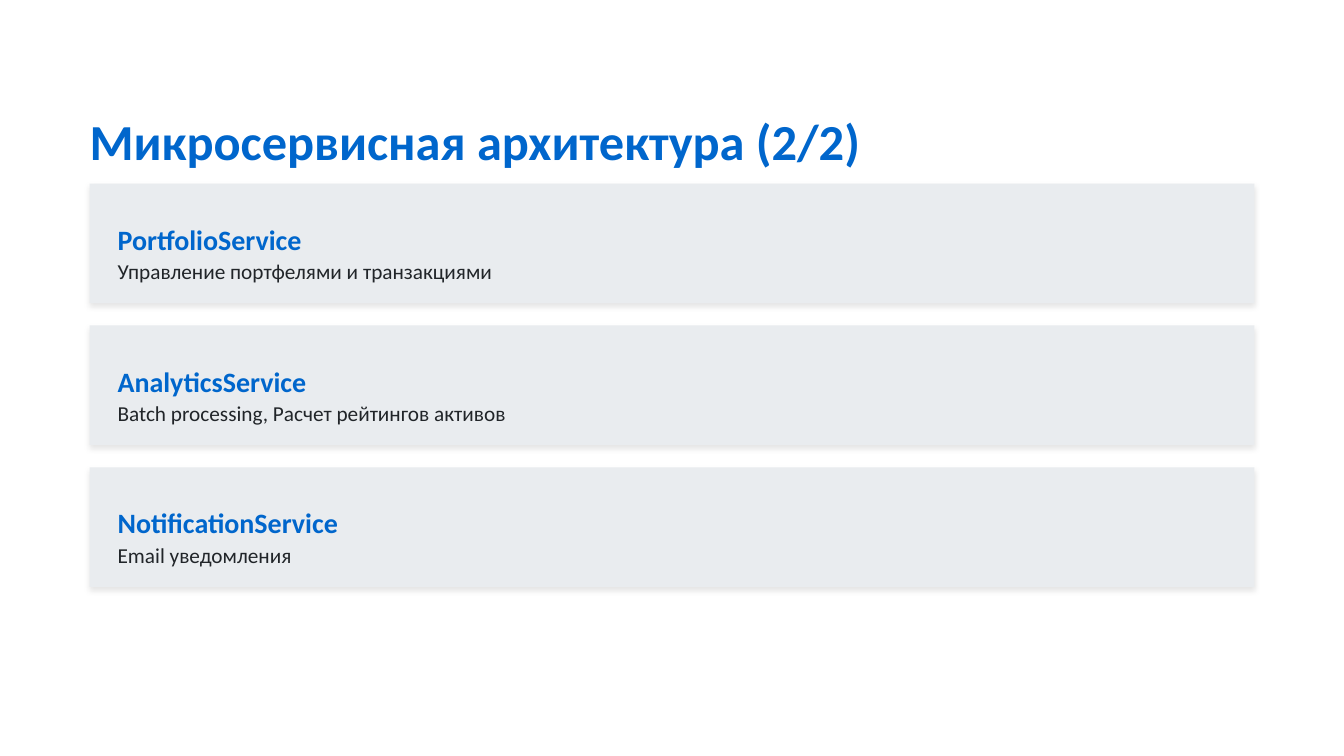
from dataclasses import dataclass

from lxml import etree
from pptx import Presentation
from pptx.dml.color import RGBColor
from pptx.enum import shapes, text
from pptx.oxml import ns
from pptx.util import Pt


@dataclass(frozen=True)
class TextStyle:
    size: float
    leading: float
    color: RGBColor
    bold: bool = False


class Theme:
    font = "Calibri"
    accent = RGBColor(0x00, 0x66, 0xCC)
    ink = RGBColor(0x21, 0x25, 0x29)
    card = RGBColor(0xE9, 0xEC, 0xEF)
    background = RGBColor(0xFF, 0xFF, 0xFF)
    title = TextStyle(27, 43.2, accent, True)
    name = TextStyle(15, 24, accent, True)
    duty = TextStyle(11.4, 21.3, ink)


SERVICES = [
    ("PortfolioService", "Управление портфелями и транзакциями"),
    ("AnalyticsService", "Batch processing, Расчет рейтингов активов"),
    ("NotificationService", "Email уведомления"),
]

# Layout, in points
LEFT = 48
CARD_TOP, CARD_PITCH = 98.4, 76
CARD_WIDTH, CARD_HEIGHT = 624, 64
TEXT_LEFT, TEXT_WIDTH = 63, 605.5
NAME_OFFSET, DUTY_OFFSET = 14.6, 32.6


def place(shape, left, top, width, height):
    shape.left, shape.top = Pt(left), Pt(top)
    shape.width, shape.height = Pt(width), Pt(height)


def write(shape, wording, style):
    """Put one unpadded, top-left line of text into a shape."""
    frame = shape.text_frame
    frame.margin_left = frame.margin_right = 0
    frame.margin_top = frame.margin_bottom = 0
    frame.word_wrap = True
    frame.auto_size = text.MSO_AUTO_SIZE.NONE
    frame.vertical_anchor = text.MSO_ANCHOR.TOP
    paragraph = frame.paragraphs[0]
    paragraph.text = wording
    paragraph.alignment = text.PP_ALIGN.LEFT
    paragraph.line_spacing = Pt(style.leading)
    font = paragraph.font
    font.name, font.size, font.bold = Theme.font, Pt(style.size), style.bold
    font.color.rgb = style.color


def add_line(slide, top, height, wording, style):
    box = slide.shapes.add_textbox(Pt(TEXT_LEFT), Pt(top), Pt(TEXT_WIDTH), Pt(height))
    write(box, wording, style)


def add_soft_shadow(shape):
    shape.shadow.inherit = False
    effects = shape._element.spPr.find(ns.qn("a:effectLst"))
    shadow = etree.SubElement(
        effects, ns.qn("a:outerShdw"), blurRad=str(Pt(3)), dist=str(Pt(1.5)),
        dir=str(90 * 60000), algn="ctr", rotWithShape="0")
    color = etree.SubElement(shadow, ns.qn("a:srgbClr"), val="000000")
    etree.SubElement(color, ns.qn("a:alpha"), val="10000")


def add_service(slide, top, name, duty):
    card = slide.shapes.add_shape(
        shapes.MSO_SHAPE.RECTANGLE, Pt(LEFT), Pt(top), Pt(CARD_WIDTH), Pt(CARD_HEIGHT))
    card.fill.solid()
    card.fill.fore_color.rgb = Theme.card
    card.line.fill.background()
    add_soft_shadow(card)
    add_line(slide, top + NAME_OFFSET, 18, name, Theme.name)
    add_line(slide, top + DUTY_OFFSET, 16, duty, Theme.duty)


def main():
    deck = Presentation()
    deck.slide_width, deck.slide_height = Pt(720), Pt(405)
    slide = deck.slides.add_slide(deck.slide_layouts.get_by_name("Title Only"))
    slide.background.fill.solid()
    slide.background.fill.fore_color.rgb = Theme.background

    # Title
    title = slide.shapes.title
    place(title, LEFT, 48, 636.5, 32.4)
    write(title, "Микросервисная архитектура (2/2)", Theme.title)

    # Service cards
    for row, (name, duty) in enumerate(SERVICES):
        add_service(slide, CARD_TOP + row * CARD_PITCH, name, duty)

    deck.save("out.pptx")


if __name__ == "__main__":
    main()
